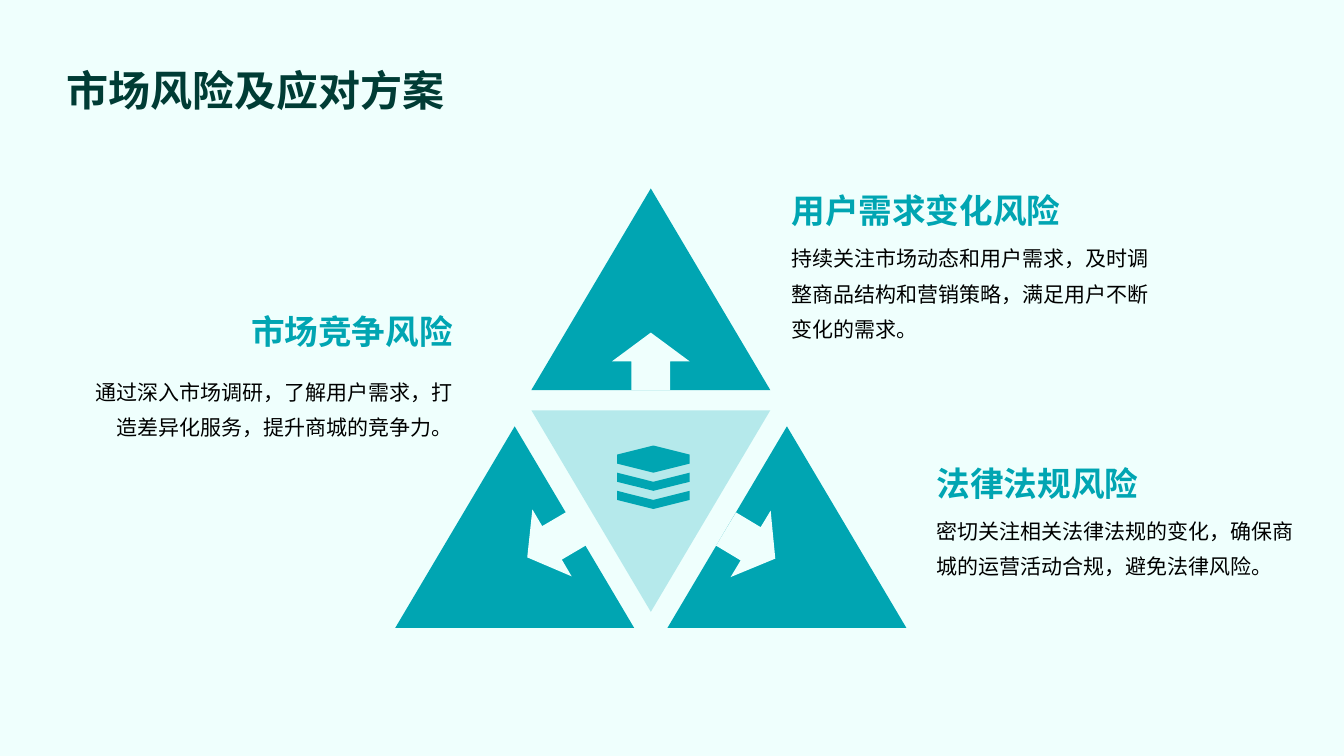
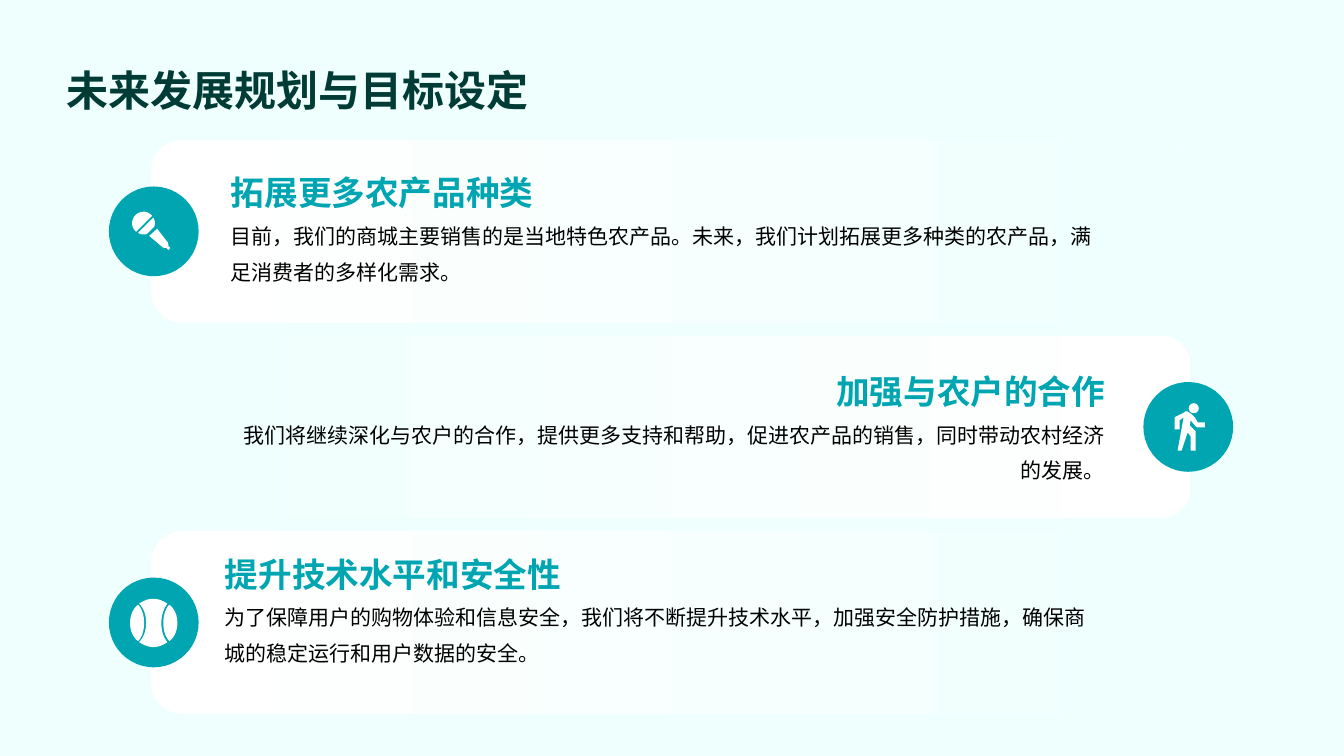
from lxml import etree
from pptx import Presentation
from pptx.dml.color import RGBColor
from pptx.enum.shapes import MSO_SHAPE
from pptx.enum.text import MSO_ANCHOR, PP_ALIGN
from pptx.oxml.ns import qn
from pptx.util import Inches, Pt

TRIANGLE = MSO_SHAPE.ISOSCELES_TRIANGLE
ARROW = MSO_SHAPE.UP_ARROW
OVAL = MSO_SHAPE.OVAL
CARD = MSO_SHAPE.ROUNDED_RECTANGLE
TOP, MIDDLE, BOTTOM = MSO_ANCHOR.TOP, MSO_ANCHOR.MIDDLE, MSO_ANCHOR.BOTTOM
LEFT, RIGHT = PP_ALIGN.LEFT, PP_ALIGN.RIGHT

FONT = "Noto Sans CJK SC"
MINT = RGBColor(0xEF, 0xFF, 0xFD)
TEAL = RGBColor(0x00, 0xA5, 0xB2)
DARK_GREEN = RGBColor(0x00, 0x3C, 0x35)
BLACK = RGBColor(0x00, 0x00, 0x00)
WHITE = RGBColor(0xFF, 0xFF, 0xFF)

WIDE_INSETS = (0.14, 0.14, 0.06, 0.14)
CARD_INSETS = (0.12, 0.06, 0.12, 0.06)
CURVE_STEPS = 8

# Outlines are lists of contours. A pair is a corner; six numbers are a
# Bezier curve: two control points and the end point.
CHEVRONS = [
    [(6.12, y), (6.48, y + 0.09), (6.84, y),
     (6.84, y + 0.09), (6.48, y + 0.18), (6.12, y + 0.09)]
    for y in (4.69, 4.87)
]
LAYERS = CHEVRONS + [
    [(6.12, 4.51), (6.48, 4.42), (6.84, 4.51),
     (6.84, 4.6), (6.48, 4.69), (6.12, 4.6)],
]
MICROPHONE = [
    [(1.53, 2.25), (1.54, 2.22, 1.54, 2.19, 1.52, 2.16), (1.37, 2.31),
     (1.4, 2.33, 1.43, 2.33, 1.46, 2.32)],
    [(1.51, 2.14), (1.49, 2.12, 1.46, 2.1, 1.43, 2.1),
     (1.36, 2.1, 1.31, 2.15, 1.31, 2.22),
     (1.31, 2.25, 1.33, 2.28, 1.35, 2.3)],
    [(1.67, 2.44), (1.67, 2.44, 1.67, 2.4, 1.66, 2.4), (1.56, 2.27),
     (1.48, 2.34), (1.61, 2.45), (1.61, 2.46, 1.65, 2.46, 1.65, 2.46),
     (1.67, 2.48), (1.69, 2.46)],
]
BALL = [
    [(1.6, 6.18), (1.6, 6.06, 1.66, 5.99, 1.66, 5.99),
     (1.66, 5.99, 1.6, 5.94, 1.52, 5.94),
     (1.44, 5.94, 1.38, 5.99, 1.38, 5.99),
     (1.38, 5.99, 1.45, 6.04, 1.45, 6.18),
     (1.45, 6.31, 1.38, 6.37, 1.38, 6.37),
     (1.38, 6.37, 1.45, 6.42, 1.52, 6.42),
     (1.6, 6.42, 1.66, 6.37, 1.66, 6.37),
     (1.66, 6.37, 1.6, 6.31, 1.6, 6.18)],
] + [
    [(seam, 6), (seam, 6, edge, 6.05, edge, 6.18),
     (edge, 6.31, seam, 6.36, seam, 6.36),
     (seam, 6.36, inner, 6.31, inner, 6.18),
     (inner, 6.05, seam, 6, seam, 6)]
    for seam, edge, inner in ((1.37, 1.29, 1.43), (1.68, 1.76, 1.62))
]
WALKER = [
    [(11.81, 4.17), (11.85, 4.22), (11.86, 4.23, 11.87, 4.24, 11.88, 4.24),
     (11.95, 4.24), (11.95, 4.19), (11.88, 4.19), (11.85, 4.14),
     (11.84, 4.13, 11.83, 4.12, 11.82, 4.11), (11.79, 4.09),
     (11.78, 4.08, 11.77, 4.08, 11.77, 4.08),
     (11.76, 4.08, 11.75, 4.08, 11.75, 4.09), (11.65, 4.14), (11.65, 4.26),
     (11.7, 4.26), (11.7, 4.17), (11.74, 4.14), (11.68, 4.47),
     (11.72, 4.47), (11.78, 4.29), (11.81, 4.33), (11.81, 4.47),
     (11.86, 4.47), (11.86, 4.28), (11.8, 4.22)],
]


def flatten(contour):
    """Return the corners of a contour with its curves sampled."""
    points = [contour[0]]
    for step in contour[1:]:
        if len(step) == 2:
            points.append(step)
            continue
        controls = (points[-1], step[:2], step[2:4], step[4:])
        for index in range(1, CURVE_STEPS + 1):
            t = index / CURVE_STEPS
            weights = ((1 - t) ** 3, 3 * t * (1 - t) ** 2,
                       3 * t ** 2 * (1 - t), t ** 3)
            points.append(tuple(
                sum(weight * control[axis]
                    for weight, control in zip(weights, controls))
                for axis in (0, 1)))
    return [(Inches(x), Inches(y)) for x, y in points]


class Designer:
    """Holds the deck style and the slide being drawn."""

    def __init__(self):
        self.deck = Presentation()
        self.deck.slide_width = Inches(13.33)
        self.deck.slide_height = Inches(7.5)
        background = self.deck.slide_master.background.fill
        background.solid()
        background.fore_color.rgb = MINT
        self.slide = None

    def new_slide(self, title):
        self.slide = self.deck.slides.add_slide(self.deck.slide_layouts[6])
        self.text(title, (0.52, 0.29, 12.29, 1), 30, DARK_GREEN, bold=True,
                  anchor=MIDDLE, spacing=1.4)

    def text(self, words, frame, size, color, bold=False, anchor=TOP,
             align=LEFT, spacing=1.4, insets=WIDE_INSETS):
        box = self.slide.shapes.add_textbox(*map(Inches, frame))
        body = box.text_frame
        body.word_wrap = True
        body.vertical_anchor = anchor
        (body.margin_left, body.margin_top,
         body.margin_right, body.margin_bottom) = map(Inches, insets)
        body.text = words
        para = body.paragraphs[0]
        para.alignment = align
        para.line_spacing = spacing
        span = para.runs[0]
        span.font.size = Pt(size)
        span.font.bold = bold
        span.font.color.rgb = color
        span.font.name = FONT
        properties = span._r.get_or_add_rPr()
        etree.SubElement(properties, qn("a:ea")).set("typeface", FONT)

    def heading(self, words, frame, **style):
        self.text(words, frame, 24, TEAL, bold=True, spacing=1.2, **style)

    def body(self, words, frame, **style):
        self.text(words, frame, 15, BLACK, **style)

    def paint(self, shape, color, opacity=None):
        shape.shadow.inherit = False
        shape.line.fill.background()
        shape.fill.solid()
        shape.fill.fore_color.rgb = color
        if opacity is not None:
            tint = shape._element.spPr.find(qn("a:solidFill"))[0]
            alpha = etree.SubElement(tint, qn("a:alpha"))
            alpha.set("val", str(opacity * 1000))

    def shape(self, kind, frame, color, rotation=0, opacity=None):
        shape = self.slide.shapes.add_shape(kind, *map(Inches, frame))
        shape.rotation = rotation
        self.paint(shape, color, opacity)
        return shape

    def gradient_card(self, frame, start, end):
        card = self.shape(CARD, frame, start)
        card.adjustments[0] = 0.167
        card.fill.gradient()
        card.fill.gradient_angle = 0
        for stop, color in zip(card.fill.gradient_stops, (start, end)):
            stop.color.rgb = color

    def outline(self, contours, color):
        first, *others = map(flatten, contours)
        builder = self.slide.shapes.build_freeform(*first[0])
        builder.add_line_segments(first[1:], close=True)
        for points in others:
            builder.move_to(*points[0])
            builder.add_line_segments(points[1:], close=True)
        self.paint(builder.convert_to_shape(), color)


def draw_risks(designer):
    designer.new_slide("市场风险及应对方案")
    width, height = 2.37, 2
    designer.shape(TRIANGLE, (5.27, 4.07, width, height), TEAL,
                   rotation=180, opacity=24)
    for left, top in ((6.62, 4.23), (3.92, 4.23), (5.27, 1.87)):
        designer.shape(TRIANGLE, (left, top, width, height), TEAL)
    for left, top, rotation in ((6.07, 3.3, 0), (7.06, 5.11, 121),
                                (5.09, 5.1, 239.6)):
        designer.shape(ARROW, (left, top, 0.77, 0.57), MINT, rotation)
    designer.outline(LAYERS, TEAL)

    risks = (
        ("用户需求变化风险",
         "持续关注市场动态和用户需求，及时调整商品结构和营销策略，满足用户不断变化的需求。",
         7.71, 1.65, 2.2, LEFT),
        ("法律法规风险",
         "密切关注相关法律法规的变化，确保商城的运营活动合规，避免法律风险。",
         9.15, 4.36, 4.9, LEFT),
        ("市场竞争风险",
         "通过深入市场调研，了解用户需求，打造差异化服务，提升商城的竞争力。",
         0.74, 2.85, 3.52, RIGHT),
    )
    for name, response, left, heading_top, body_top, align in risks:
        designer.heading(name, (left, heading_top, 3.81, 0.77),
                         anchor=BOTTOM, align=align)
        designer.body(response, (left, body_top, 3.81, 1.32), align=align)


def draw_goals(designer):
    designer.new_slide("未来发展规划与目标设定")
    card_height, card_pitch, disc = 1.81, 1.94, 0.89
    goals = (
        ("拓展更多农产品种类",
         "目前，我们的商城主要销售的是当地特色农产品。未来，我们计划拓展更多种类的农产品，满足消费者的多样化需求。",
         MICROPHONE, 2.17, 1.56, LEFT),
        ("加强与农户的合作",
         "我们将继续深化与农户的合作，提供更多支持和帮助，促进农产品的销售，同时带动农村经济的发展。",
         WALKER, 2.11, 3.53, RIGHT),
        ("提升技术水平和安全性",
         "为了保障用户的购物体验和信息安全，我们将不断提升技术水平，加强安全防护措施，确保商城的稳定运行和用户数据的安全。",
         BALL, 2.11, 5.34, LEFT),
    )
    for row, (name, plan, icon, left, top, align) in enumerate(goals):
        card_top = 1.39 + row * card_pitch
        disc_top = card_top + (card_height - disc) / 2
        disc_left, colors = 1.08, (WHITE, MINT)
        if align == RIGHT:
            disc_left, colors = 11.34, (MINT, WHITE)
        designer.gradient_card((1.5, card_top, 10.31, card_height), *colors)
        designer.shape(OVAL, (disc_left, disc_top, disc, disc), TEAL)
        designer.outline(icon, WHITE)
        designer.heading(name, (left, top, 8.97, 0.62), anchor=MIDDLE,
                         align=align, insets=CARD_INSETS)
        designer.body(plan, (left, top + 0.5, 8.97, 0.85), align=align,
                      insets=CARD_INSETS)
    walker_head = (11.79, 4, 0.1, 0.1)
    designer.shape(OVAL, walker_head, WHITE)


def main():
    designer = Designer()
    draw_risks(designer)
    draw_goals(designer)
    designer.deck.save("out.pptx")


if __name__ == "__main__":
    main()
